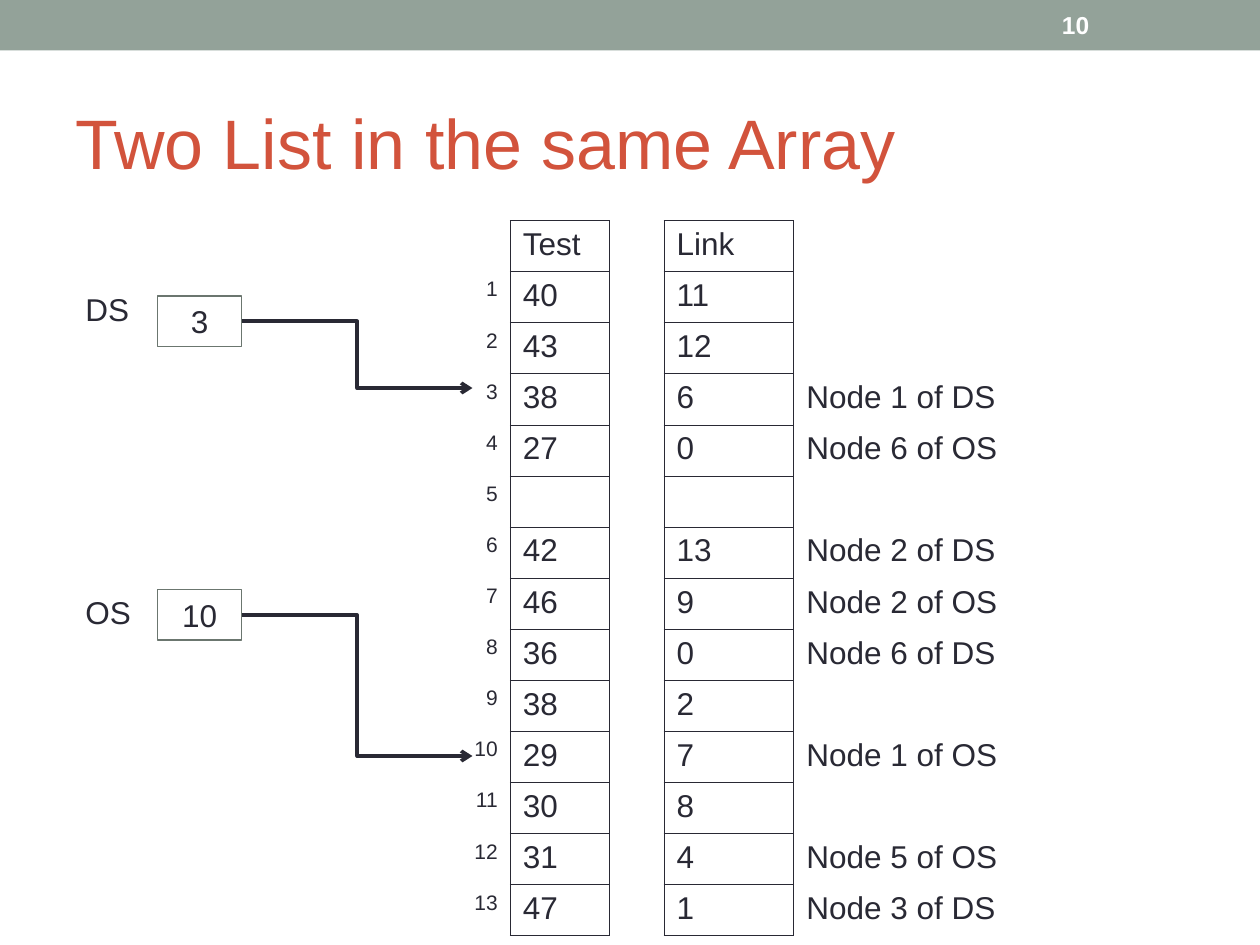
from lxml import etree
from pptx import Presentation
from pptx.dml.color import RGBColor
from pptx.enum.shapes import MSO_CONNECTOR, MSO_SHAPE
from pptx.enum.text import MSO_ANCHOR, PP_ALIGN
from pptx.oxml.ns import qn
from pptx.util import Inches, Pt

LEFT, CENTER, RIGHT = PP_ALIGN.LEFT, PP_ALIGN.CENTER, PP_ALIGN.RIGHT
TOP, MIDDLE = MSO_ANCHOR.TOP, MSO_ANCHOR.MIDDLE
RECT, ELBOW = MSO_SHAPE.RECTANGLE, MSO_CONNECTOR.ELBOW
RIGHT_SIDE = 3

INK, TITLE, BAND, BOX_LINE, WHITE = "292934", "D2533C", "93A299", "6B766F", "FFFFFF"


def rgb(value):
    return RGBColor.from_string(value)


class SlideBuilder:
    font = {"name": "Arial", "size": Pt(18), "bold": False}

    def __init__(self, slide):
        self.slide = slide

    def label(self, p, text, color=INK, align=LEFT, **fmt):
        p.alignment = align
        r = p.add_run()
        r.text = text
        for key, value in {**self.font, **fmt}.items():
            setattr(r.font, key, value)
        r.font.color.rgb = rgb(color)

    def text(self, box, lines, anchor=TOP, gap=0, **fmt):
        tf = self.slide.shapes.add_textbox(*map(Inches, box)).text_frame
        tf.word_wrap = True
        tf.vertical_anchor = anchor
        for i, line in enumerate(lines):
            p = tf.add_paragraph() if i else tf.paragraphs[0]
            if i:
                p.space_before = Pt(gap)
            self.label(p, line, **fmt)

    def rect(self, box, fill=None, line=None, text=None):
        sp = self.slide.shapes.add_shape(RECT, *map(Inches, box))
        sp.shadow.inherit = False
        if fill:
            sp.fill.solid()
            sp.fill.fore_color.rgb = rgb(fill)
        else:
            sp.fill.background()
        if line:
            sp.line.color.rgb = rgb(line)
            sp.line.width = Pt(0.75)
        else:
            sp.line.fill.background()
        if text:
            self.label(sp.text_frame.paragraphs[0], text, align=CENTER)
        return sp

    def elbow_arrow(self, source, x, y):
        cn = self.slide.shapes.add_connector(
            ELBOW, source.left + source.width, source.top + source.height // 2,
            Inches(x), Inches(y))
        cn.begin_connect(source, RIGHT_SIDE)
        cn.line.color.rgb = rgb(INK)
        cn.line.width = Pt(2.07)
        sp_pr = cn._element.spPr
        etree.SubElement(sp_pr.find(qn("a:ln")), qn("a:tailEnd"), type="arrow")
        etree.SubElement(sp_pr, qn("a:effectLst"))

    def border(self, cell, drawn):
        tc_pr = cell._tc.get_or_add_tcPr()
        for i, side in enumerate("LRTB"):
            ln = etree.Element(qn(f"a:ln{side}"), w=str(Pt(0.45)))
            if side in drawn:
                fill = etree.SubElement(ln, qn("a:solidFill"))
                etree.SubElement(fill, qn("a:srgbClr"), val=INK)
            else:
                etree.SubElement(ln, qn("a:noFill"))
            tc_pr.insert(i, ln)

    def table(self, box, widths, rows, borders):
        table = self.slide.shapes.add_table(
            len(rows), len(widths), *map(Inches, box)).table
        table.first_row = table.horz_banding = False
        for col, width in zip(table.columns, widths):
            col.width = Inches(width)
        for row, values in zip(table.rows, rows):
            row.height = Inches(box[3] / len(rows))
            for j, (cell, value) in enumerate(zip(row.cells, values)):
                cell.fill.background()
                self.border(cell, borders[j])
                if value:
                    fmt = {"align": RIGHT, "size": Pt(12)} if j == 0 else {}
                    self.label(cell.text_frame.paragraphs[0], value, **fmt)


def main():
    prs = Presentation()
    prs.slide_width, prs.slide_height = Inches(10), Inches(7.5)
    s = SlideBuilder(prs.slides.add_slide(prs.slide_layouts[6]))

    # Header band and title
    s.rect((0, 0, 10, 0.4), fill=BAND)
    s.text((0.5, 0.58, 9, 1.08), ["Two List in the same Array"], MIDDLE,
           color=TITLE, size=Pt(40))

    # Array table: index, Test, gap, Link, note
    nodes = [
        ("40", "11", ""), ("43", "12", ""), ("38", "6", "Node 1 of DS"),
        ("27", "0", "Node 6 of OS"), ("", "", ""), ("42", "13", "Node 2 of DS"),
        ("46", "9", "Node 2 of OS"), ("36", "0", "Node 6 of DS"), ("38", "2", ""),
        ("29", "7", "Node 1 of OS"), ("30", "8", ""), ("31", "4", "Node 5 of OS"),
        ("47", "1", "Node 3 of DS"),
    ]
    rows = [("", "Test", "", "Link", "")]
    rows += [(str(i), test, "", link, note)
             for i, (test, link, note) in enumerate(nodes, 1)]
    s.table((3.5, 1.75, 5, 5.68), (0.55, 0.79, 0.43, 1.03, 2.2), rows,
            borders=("R", "LRTB", "LR", "LRTB", "L"))

    # List heads, each pointing at its first node
    s.text((0.58, 2.25, 0.58, 2.8), ["DS", "OS"], gap=152)
    for start, y, target_y in (("3", 2.35, 3.08), ("10", 4.68, 6)):
        head = s.rect((1.25, y, 0.67, 0.4), line=BOX_LINE, text=start)
        s.elbow_arrow(head, 3.75, target_y)

    # Slide number
    s.text((8.33, 0.02, 1.17, 0.36), ["10"], MIDDLE,
           color=WHITE, size=Pt(14), bold=True)

    prs.save("out.pptx")


if __name__ == "__main__":
    main()
